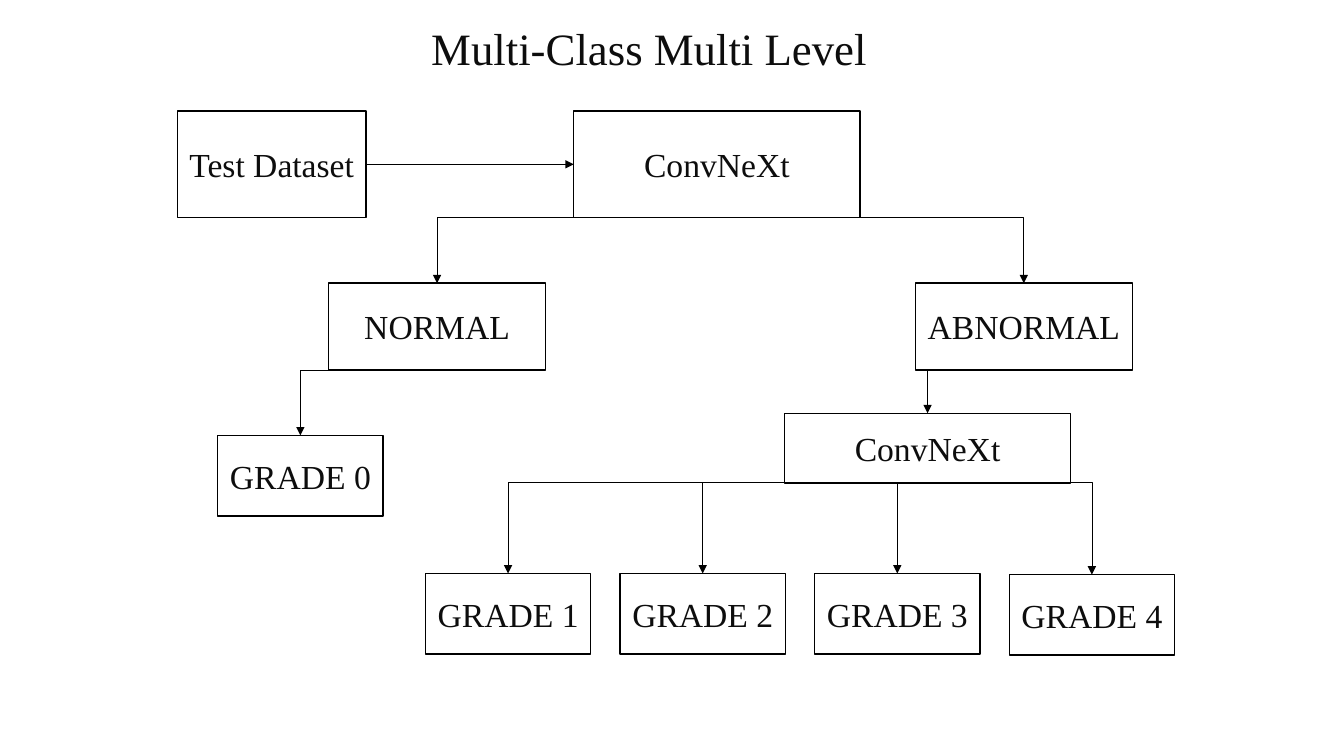
from lxml.etree import SubElement
from pptx import Presentation
from pptx.dml.color import RGBColor
from pptx.enum.shapes import MSO_CONNECTOR, MSO_SHAPE
from pptx.enum.text import MSO_ANCHOR, MSO_AUTO_SIZE, PP_ALIGN
from pptx.oxml.ns import qn
from pptx.util import Pt

EMU_PER_PX = 9144  # 100 px to the inch


def px(length):
    return length * EMU_PER_PX


def color(hex_string):
    return RGBColor.from_string(hex_string)


class FlowChart:
    font_name = "Times New Roman"
    text_color = "0D0D0D"
    line_color = "000000"
    fill_color = "FFFFFF"

    def __init__(self, slide):
        self.slide = slide

    def add_text(self, shape, text, size, anchor):
        frame = shape.text_frame
        frame.word_wrap = True
        frame.auto_size = MSO_AUTO_SIZE.NONE
        frame.vertical_anchor = anchor
        paragraph = frame.paragraphs[0]
        paragraph.alignment = PP_ALIGN.CENTER
        run = paragraph.add_run()
        run.text = text
        run.font.name = self.font_name
        run.font.size = Pt(size)
        run.font.color.rgb = color(self.text_color)

    def title(self, text, left, top, width, height):
        shape = self.slide.shapes.title
        shape.left, shape.top = px(left), px(top)
        shape.width, shape.height = px(width), px(height)
        self.add_text(shape, text, 32, MSO_ANCHOR.TOP)

    def box(self, text, left, top, width, height):
        shape = self.slide.shapes.add_shape(
            MSO_SHAPE.RECTANGLE, px(left), px(top), px(width), px(height))
        shape.shadow.inherit = False
        shape.fill.solid()
        shape.fill.fore_color.rgb = color(self.fill_color)
        shape.line.color.rgb = color(self.line_color)
        shape.line.width = Pt(1)
        shape.text_frame.margin_left = shape.text_frame.margin_right = 0
        self.add_text(shape, text, 24, MSO_ANCHOR.MIDDLE)
        return shape

    def connector(self, kind, start, end, width):
        connector = self.slide.shapes.add_connector(kind, *start, *end)
        connector.line.color.rgb = color(self.line_color)
        connector.line.width = Pt(width)
        properties = connector._element.spPr
        SubElement(properties.find(qn("a:ln")), qn("a:tailEnd"), type="triangle")
        SubElement(properties, qn("a:effectLst"))
        return connector

    def arrow(self, source, target):
        """Straight arrow from the right side to the left side."""
        middle = source.top + source.height // 2
        self.connector(MSO_CONNECTOR.STRAIGHT, (source.left + source.width, middle),
                       (target.left, middle), 1)

    def branch(self, parent, child):
        """Along the parent's bottom edge, then down to the child's top."""
        start = (parent.left + parent.width // 2, parent.top + parent.height)
        end = (child.left + child.width // 2, child.top)
        connector = self.connector(MSO_CONNECTOR.ELBOW, start, end, 0.5)
        connector._element.spPr.find(qn("a:prstGeom")).set("prst", "bentConnector2")


def main():
    presentation = Presentation()
    presentation.slide_width, presentation.slide_height = px(1333), px(750)
    chart = FlowChart(presentation.slides.add_slide(presentation.slide_layouts[5]))
    chart.title("Multi-Class Multi Level", 143, 16, 1002, 64)

    # First level: normal or abnormal
    dataset = chart.box("Test Dataset", 176, 110, 187, 106)
    first_model = chart.box("ConvNeXt", 569, 110, 284, 106)
    normal = chart.box("NORMAL", 326, 281, 215, 86)
    abnormal = chart.box("ABNORMAL", 908, 281, 215, 86)

    # Second level: grades
    second_model = chart.box("ConvNeXt", 778, 410, 284, 69)
    grade_0 = chart.box("GRADE 0", 216, 432, 164, 80)
    grades = [chart.box(f"GRADE {number}", 422 + 193 * (number - 1), top, 164, 80)
              for number, top in enumerate((569, 569, 569, 570), start=1)]

    # Arrows
    chart.arrow(dataset, first_model)
    links = [(first_model, normal), (first_model, abnormal),
             (normal, grade_0), (abnormal, second_model)]
    links += [(second_model, grade) for grade in grades]
    for parent, child in links:
        chart.branch(parent, child)

    presentation.save("out.pptx")


if __name__ == "__main__":
    main()
